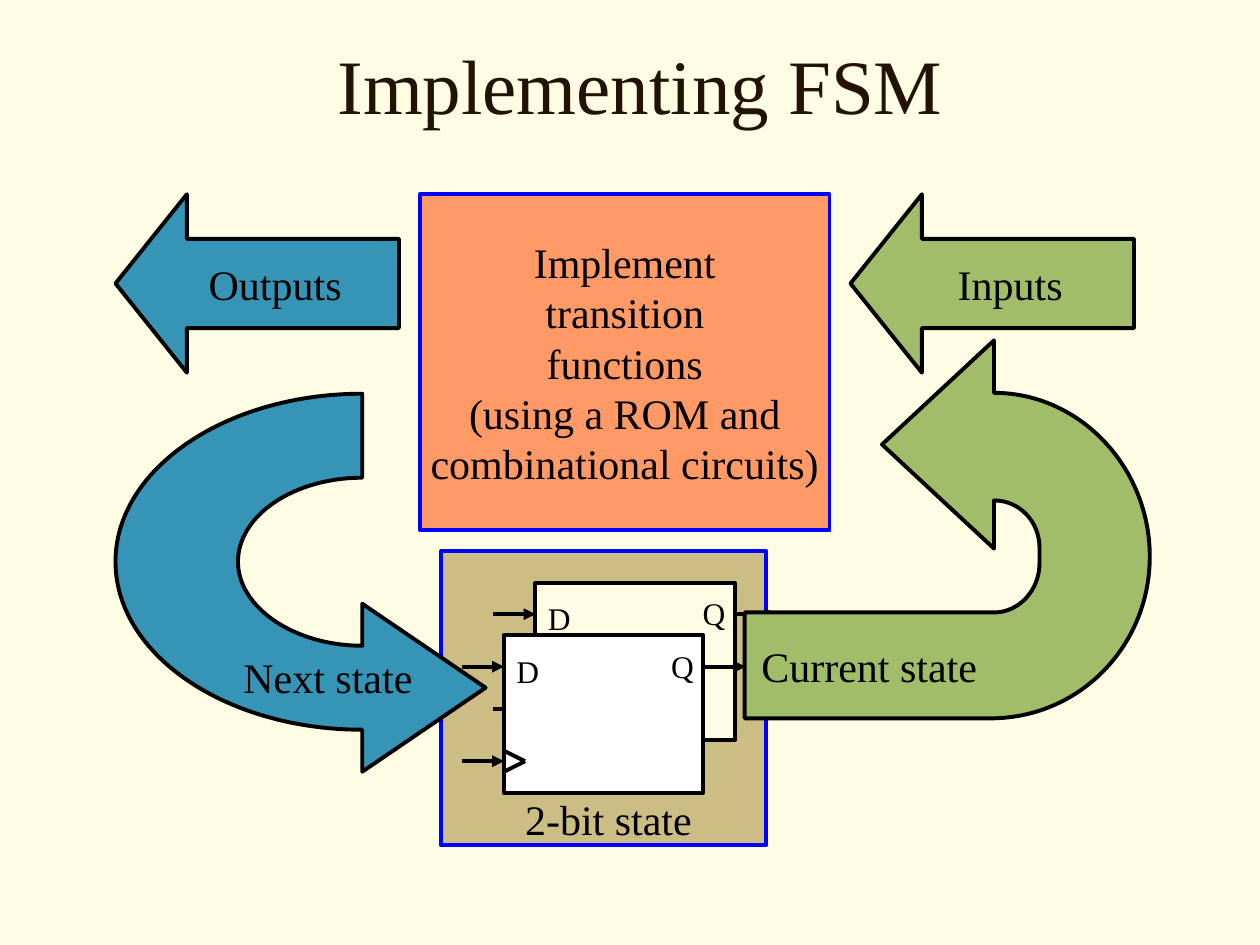
from typing import NamedTuple

from lxml.etree import SubElement
from pptx import Presentation
from pptx.dml.color import RGBColor
from pptx.enum.shapes import MSO_CONNECTOR, MSO_SHAPE
from pptx.enum.text import MSO_ANCHOR, MSO_AUTO_SIZE, PP_ALIGN
from pptx.oxml.ns import qn
from pptx.util import Pt

COLORS = {
    "background": "FEFDE3", "title": "221304", "ink": "000000", "frame": "0000FF",
    "function": "FF9966", "storage": "CBBD83", "front": "FFFFFF",
    "input": "A1BD69", "output": "3694B6",
}
FONT = "Times New Roman"
LINE_WIDTH = 2.25
UNITS_PER_POINT = 100  # outline precision


class Block(NamedTuple):
    left: float
    top: float
    width: float
    height: float
    fill: str
    line: str = "ink"
    lines: tuple[str, ...] = ()
    preset: MSO_SHAPE = MSO_SHAPE.RECTANGLE


class Label(NamedTuple):
    text: str
    left: float
    top: float
    width: float
    height: float = 36
    size: float = 24


class FlipFlop(NamedTuple):
    left: float
    top: float
    fill: str
    clock_mark: bool


class LoopArrow(NamedTuple):
    fill: str
    start: tuple[float, float]
    # Each step is one point (straight) or two controls and an end (curve)
    steps: tuple[tuple[tuple[float, float], ...], ...]


STORAGE = Block(252, 315, 186, 168, "storage", "frame")
FLIP_FLOPS = (FlipFlop(306, 333, "background", False), FlipFlop(288, 363, "front", True))
BLOCKS = (
    Block(240, 111, 234, 192, "function", "frame",
          ("Implement", "transition", "functions", "(using a ROM and",
           "combinational circuits)")),
    Block(486, 111, 162, 102, "input", "ink", ("Inputs",), MSO_SHAPE.LEFT_ARROW),
    Block(66, 111, 162, 102, "output", "ink", ("Outputs",), MSO_SHAPE.LEFT_ARROW),
)
CURRENT_STATE = LoopArrow("input", (504, 254), (
    ((568, 194.5),), ((568, 224.5),),
    ((617, 224.5), (657, 267), (657, 318)),
    ((657, 369.5), (616.5, 410.5), (566, 410.5)),
    ((425.5, 410.5),), ((425.5, 350),), ((568, 350),),
    ((582.5, 350), (594, 337), (594, 322)),
    ((594, 313),),
    ((594, 298), (582.5, 286), (568, 286)),
    ((568, 313.5),),
))
NEXT_STATE = LoopArrow("output", (207, 369), (
    ((168, 369), (136, 347), (136, 321)),
    ((136, 294.5), (168, 273), (207, 273)),
    ((207, 225),),
    ((129, 225), (66, 268), (66, 321)),
    ((66, 374), (129, 417), (207, 417)),
    ((207, 441),), ((277.5, 393),), ((207, 345),),
))
LABELS = (
    Label("Current state", 428, 362.5, 145),
    Label("Next state", 132, 369, 114),
    Label("2-bit state", 293, 450, 114),
)


def color(name: str) -> RGBColor:
    return RGBColor.from_string(COLORS[name])


def style_shape(shape, fill: str, line: str = "ink") -> None:
    shape.shadow.inherit = False
    shape.fill.solid()
    shape.fill.fore_color.rgb = color(fill)
    shape.line.color.rgb = color(line)
    shape.line.width = Pt(LINE_WIDTH)


def style_paragraph(paragraph, size: float, ink: str = "ink",
                    align: PP_ALIGN = PP_ALIGN.CENTER) -> None:
    paragraph.alignment = align
    paragraph.font.name = FONT
    paragraph.font.size = Pt(size)
    paragraph.font.color.rgb = color(ink)


def add_block(slide, block: Block) -> None:
    shape = slide.shapes.add_shape(block.preset, Pt(block.left), Pt(block.top),
                                   Pt(block.width), Pt(block.height))
    style_shape(shape, block.fill, block.line)
    if block.preset == MSO_SHAPE.LEFT_ARROW:
        shape.adjustments[1] = 0.4
    if not block.lines:
        return
    frame = shape.text_frame
    frame.word_wrap = False
    frame.vertical_anchor = MSO_ANCHOR.MIDDLE
    frame.text = "\n".join(block.lines)
    for paragraph in frame.paragraphs:
        style_paragraph(paragraph, 24)


def add_label(slide, label: Label) -> None:
    frame = slide.shapes.add_textbox(Pt(label.left), Pt(label.top),
                                     Pt(label.width), Pt(label.height)).text_frame
    frame.word_wrap = True
    frame.text = label.text
    style_paragraph(frame.paragraphs[0], label.size, align=PP_ALIGN.LEFT)


def add_wire(slide, x1: float, y1: float, x2: float, y2: float,
             arrow: bool = True) -> None:
    wire = slide.shapes.add_connector(MSO_CONNECTOR.STRAIGHT,
                                      Pt(x1), Pt(y1), Pt(x2), Pt(y2))
    wire.line.color.rgb = color("ink")
    wire.line.width = Pt(LINE_WIDTH)
    if arrow:
        SubElement(wire.line._get_or_add_ln(), qn("a:tailEnd"), type="triangle")
    SubElement(wire._element.spPr, qn("a:effectLst"))


def add_flip_flop(slide, flip_flop: FlipFlop) -> None:
    x, y = flip_flop.left, flip_flop.top
    width, height, wire = 114, 90, 24
    data_y, clock_y = y + 18, y + 72
    add_block(slide, Block(x, y, width, height, flip_flop.fill))
    add_label(slide, Label("D", x, y + 6, 28, 29, 18))
    add_label(slide, Label("Q", x + 88.5, y + 3, 28, 29, 18))
    if flip_flop.clock_mark:
        for edge_y in (clock_y - 6, clock_y + 6):
            add_wire(slide, x, edge_y, x + 12, clock_y, arrow=False)
    add_wire(slide, x - wire, data_y, x, data_y)
    add_wire(slide, x - wire, clock_y, x, clock_y)
    add_wire(slide, x + width, data_y, x + width + wire, data_y)


def add_loop_arrow(slide, loop: LoopArrow) -> None:
    points = [(x * UNITS_PER_POINT, y * UNITS_PER_POINT)
              for x, y in (loop.start, *(point for step in loop.steps for point in step))]
    builder = slide.shapes.build_freeform(*points[0], scale=Pt(1) / UNITS_PER_POINT)
    builder.add_line_segments(points[1:], close=True)
    arrow = builder.convert_to_shape()
    style_shape(arrow, loop.fill)

    # Merge the three segments of each curved step into one Bézier curve
    segments = iter(list(arrow._element.iter(qn("a:lnTo"))))
    for step in loop.steps:
        parts = [next(segments) for _ in step]
        if len(parts) == 3:
            curve = parts[0].makeelement(qn("a:cubicBezTo"))
            parts[0].addprevious(curve)
            for part in parts:
                curve.append(part[0])
                part.getparent().remove(part)


def add_title(slide, text: str) -> None:
    title = slide.shapes.title
    title.left, title.top, title.width, title.height = Pt(66), Pt(3), Pt(600), Pt(90)
    frame = title.text_frame
    frame.text = text
    frame.auto_size = MSO_AUTO_SIZE.NONE
    frame.vertical_anchor = MSO_ANCHOR.MIDDLE
    style_paragraph(frame.paragraphs[0], 44, "title")


def main() -> None:
    deck = Presentation()
    deck.slide_width, deck.slide_height = Pt(720), Pt(540)
    slide = deck.slides.add_slide(deck.slide_layouts[5])
    slide.background.fill.solid()
    slide.background.fill.fore_color.rgb = color("background")
    add_title(slide, "Implementing FSM")

    # State register
    add_block(slide, STORAGE)
    for flip_flop in FLIP_FLOPS:
        add_flip_flop(slide, flip_flop)

    # Data flow around the transition functions
    add_loop_arrow(slide, CURRENT_STATE)
    for block in BLOCKS:
        add_block(slide, block)
    add_loop_arrow(slide, NEXT_STATE)
    for label in LABELS:
        add_label(slide, label)
    deck.save("out.pptx")


if __name__ == "__main__":
    main()
